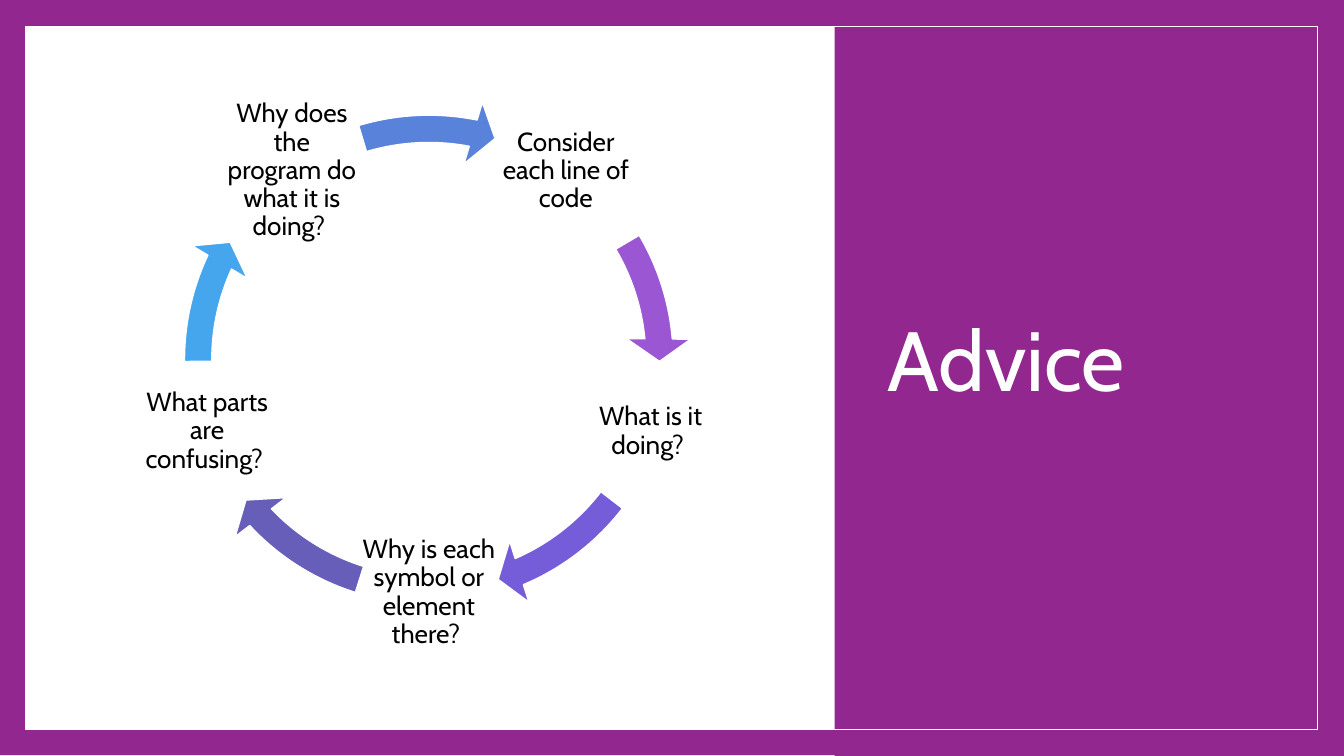
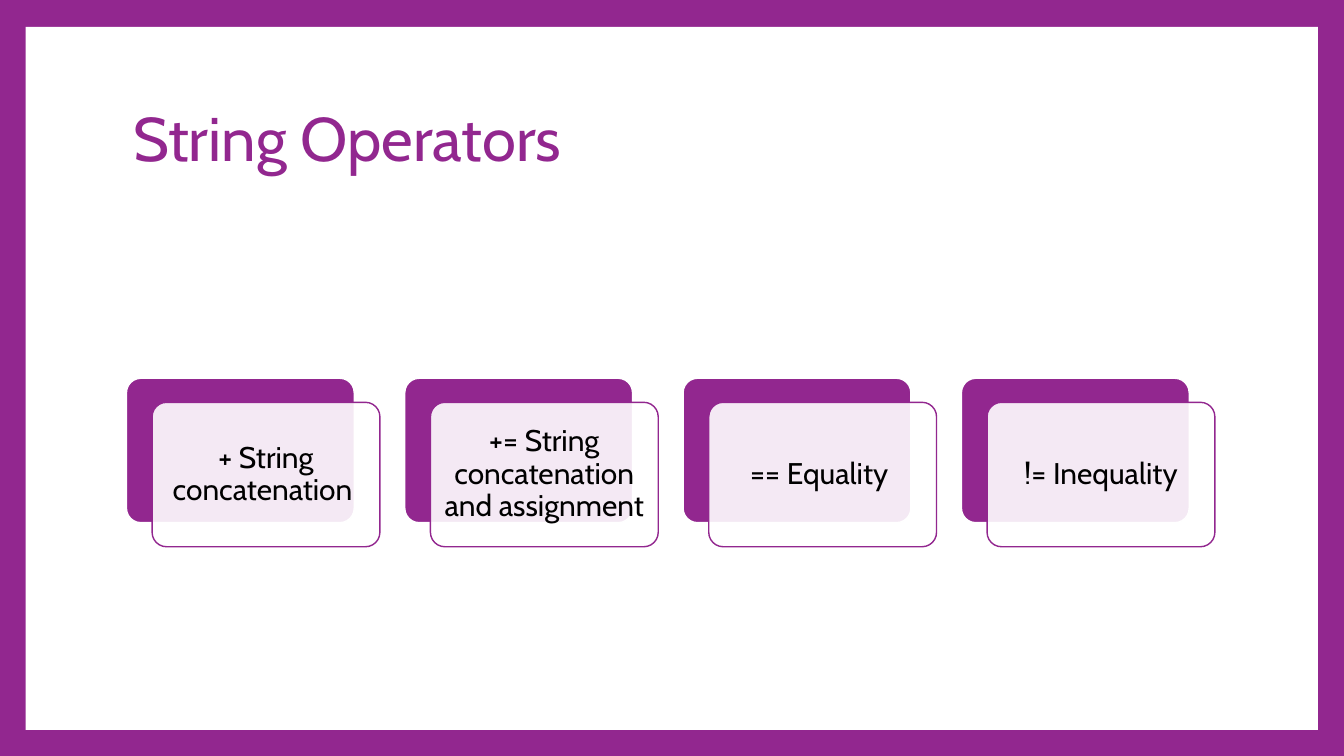
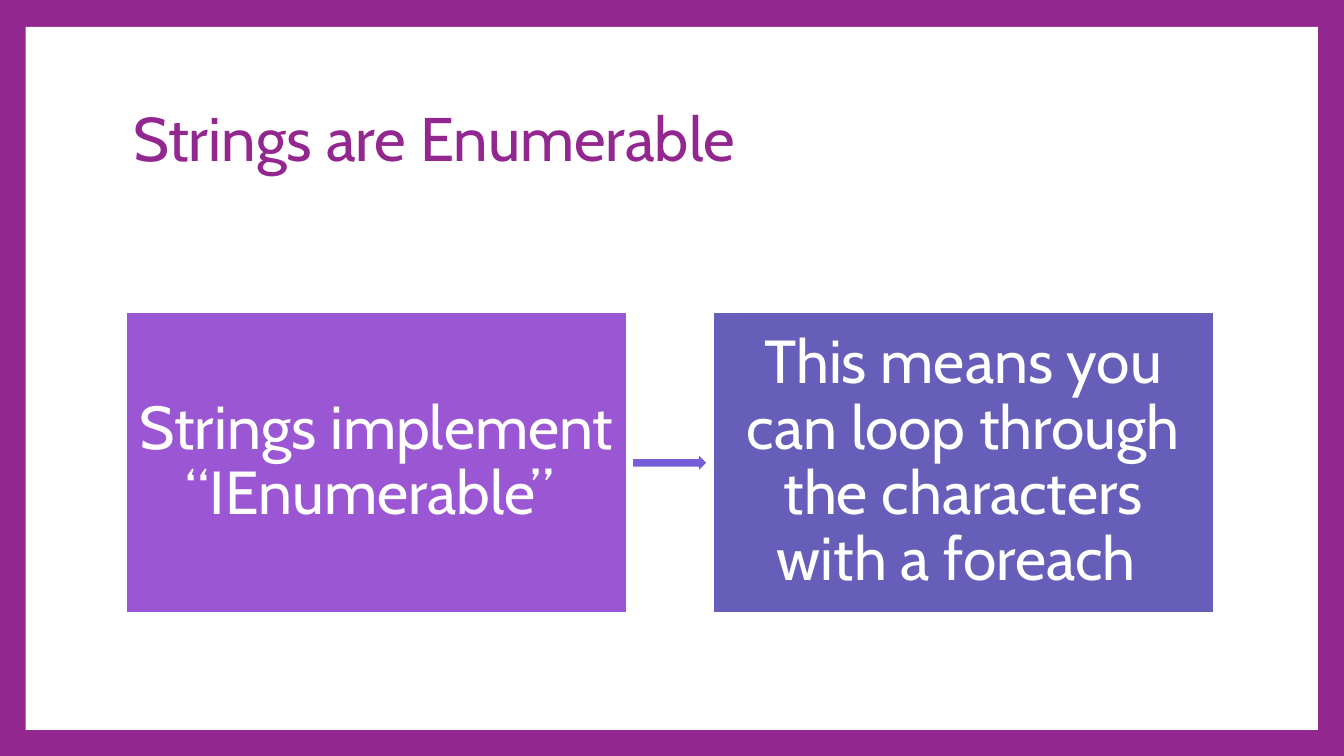
"""Build three lesson slides: an advice cycle, string operators and enumerable strings."""
import dataclasses
import math
import typing

import pptx
import pptx.dml.color
import pptx.enum.shapes
import pptx.enum.text
import pptx.oxml.ns
import pptx.oxml.xmlchemy
import pptx.shapes.autoshape
import pptx.slide
import pptx.util
from lxml import etree

Cm = pptx.util.Cm
Pt = pptx.util.Pt
Kind = pptx.enum.shapes.MSO_SHAPE
Align = pptx.enum.text.PP_ALIGN

PURPLE = "92278F"
WHITE = "FFFFFF"
BLACK = "000000"
ORCHID = "9B57D3"
VIOLET = "755DD9"
INDIGO = "665EB8"
SKY = "45A5ED"
BLUE = "5982DB"
FONT = "Cabin"
SLIDE_WIDTH, SLIDE_HEIGHT = 50.8, 28.58
DEGREE = 0.6


class Area(typing.NamedTuple):
    """A rectangle in centimetres."""

    left: float
    top: float
    width: float
    height: float

    def lengths(self) -> list[pptx.util.Length]:
        """Give the four values as slide lengths."""
        return [Cm(value) for value in self]


@dataclasses.dataclass(frozen=True)
class Look:
    """Fill, outline and geometry settings of a shape."""

    fill: str | None = None
    line: str | None = None
    line_width: float = 1.5
    opacity: int = 100
    adjustments: tuple[float, ...] = ()


@dataclasses.dataclass(frozen=True)
class Lettering:
    """Text settings of a shape; the margin is in centimetres."""

    size: float
    color: str
    margin: float = 0.25
    align: Align = Align.CENTER


@dataclasses.dataclass(frozen=True)
class Step:
    """A step of the cycle and the arrow after it, with angles in degrees."""

    text: str
    color: str
    arrow_end: float
    arrow_start: float


PAGE = Area(0.97, 1.02, 48.84, 26.57)
HEADING = Area(4.78, 2.54, 41.15, 5.66)
HEADING_LETTERING = Lettering(66, PURPLE, align=Align.LEFT)

STEPS = (
    Step("Consider each line of code", ORCHID, 354.89, 329.44),
    Step("What is it doing? ", VIOLET, 66.91, 37.56),
    Step("Why is each symbol or element there? ", INDIGO, 136.84, 107.49),
    Step("What parts are confusing? ", SKY, 204.96, 179.52),
    Step("Why does the program do what it is doing? ", BLUE, 281.09, 253.31),
)
OPERATORS = (
    "+ String concatenation ",
    "+= String concatenation and assignment",
    "== Equality ",
    "!= Inequality",
)


def rgb(color: str) -> pptx.dml.color.RGBColor:
    """Turn a hex string into a colour."""
    return pptx.dml.color.RGBColor.from_string(color)


def assign(target: object, values: dict[str, object]) -> None:
    """Set every named attribute of the target."""
    for name, value in values.items():
        setattr(target, name, value)


def write(box: pptx.shapes.autoshape.Shape, text: str, lettering: Lettering) -> None:
    """Put one formatted paragraph in a box."""
    frame = box.text_frame
    margins = {f"margin_{side}": Cm(lettering.margin) for side in ("left", "top", "right", "bottom")}
    assign(frame, {
        "word_wrap": True,
        "auto_size": pptx.enum.text.MSO_AUTO_SIZE.NONE,
        "vertical_anchor": pptx.enum.text.MSO_ANCHOR.MIDDLE,
        **margins,
    })
    para = frame.paragraphs[0]
    assign(para, {"alignment": lettering.align, "line_spacing": 0.9})
    span = para.add_run()
    span.text = text
    assign(span.font, {"name": FONT, "size": Pt(lettering.size)})
    span.font.color.rgb = rgb(lettering.color)


def draw(page: pptx.slide.Slide, kind: Kind, area: Area, look: Look) -> pptx.shapes.autoshape.Shape:
    """Add a preset shape with the given look."""
    shape = page.shapes.add_shape(kind, *area.lengths())
    shape.shadow.inherit = False
    for index, value in enumerate(look.adjustments):
        shape.adjustments[index] = value
    if look.fill:
        shape.fill.solid()
        shape.fill.fore_color.rgb = rgb(look.fill)
    else:
        shape.fill.background()
    if look.opacity < 100:
        tint = shape.element.find(".//" + pptx.oxml.ns.qn("a:srgbClr"))
        etree.SubElement(tint, pptx.oxml.ns.qn("a:alpha"), val=str(look.opacity * 1000))
    if look.line:
        shape.line.color.rgb = rgb(look.line)
        shape.line.width = Pt(look.line_width)
    else:
        shape.line.fill.background()
    return shape


def add_page(deck: pptx.presentation.Presentation, background: str) -> pptx.slide.Slide:
    """Add a title-only slide with a plain background."""
    page = deck.slides.add_slide(deck.slide_layouts[5])
    page.background.fill.solid()
    page.background.fill.fore_color.rgb = rgb(background)
    return page


def set_title(page: pptx.slide.Slide, text: str, area: Area, lettering: Lettering) -> None:
    """Place and format the title above the shapes drawn so far."""
    title = page.shapes.title
    assign(title, dict(zip(("left", "top", "width", "height"), area.lengths())))
    write(title, text, lettering)
    page.shapes.element.append(title.element)


def add_framed_page(deck: pptx.presentation.Presentation, heading: str) -> pptx.slide.Slide:
    """Add a white page in a purple frame, with a heading."""
    page = add_page(deck, PURPLE)
    draw(page, Kind.RECTANGLE, PAGE, Look(WHITE))
    set_title(page, heading, HEADING, HEADING_LETTERING)
    return page


def build_advice(deck: pptx.presentation.Presentation) -> None:
    """Build the cycle of questions beside the title panel."""
    page = add_page(deck, WHITE)
    draw(page, Kind.RECTANGLE, Area(0, -0.03, SLIDE_WIDTH, SLIDE_HEIGHT), Look(PURPLE))
    draw(page, Kind.RECTANGLE, PAGE, Look(WHITE))
    draw(page, Kind.RECTANGLE, Area(31.55, 0, 19.25, SLIDE_HEIGHT), Look(PURPLE))
    set_title(page, "Advice", Area(33.3, 2.54, 14.88, 22.5), Lettering(90, WHITE, align=Align.LEFT))
    draw(page, Kind.RECTANGLE, PAGE, Look(line=WHITE, line_width=1))

    center_x, center_y, radius = 16.21, 13.59, 8.81
    node, ring = 5.31, 19.86
    ring_area = Area(center_x - ring / 2, center_y - ring / 2, ring, ring)
    for index, step in enumerate(STEPS):
        angle = math.radians(index * 360 / len(STEPS) - 54)
        left = center_x + radius * math.cos(angle) - node / 2
        top = center_y + radius * math.sin(angle) - node / 2
        box = page.shapes.add_textbox(*Area(left, top, node, node).lengths())
        write(box, step.text, Lettering(28, BLACK, margin=0.1))
        bend = (5.2 / 100, 5.6 * DEGREE, step.arrow_end * DEGREE, step.arrow_start * DEGREE, 6.1 / 100)
        draw(page, Kind.CIRCULAR_ARROW, ring_area, Look(step.color, WHITE, adjustments=bend))


def build_operators(deck: pptx.presentation.Presentation) -> None:
    """Build the row of layered operator cards."""
    page = add_framed_page(deck, "String Operators")
    back = Look(PURPLE, WHITE, adjustments=(0.1,))
    front = Look(WHITE, PURPLE, opacity=90, adjustments=(0.1,))
    for index, operator in enumerate(OPERATORS):
        area = Area(4.78 + index * 10.52, 14.3, 8.61, 5.46)
        draw(page, Kind.ROUNDED_RECTANGLE, area, back)
        raised = area._replace(left=area.left + 0.97, top=area.top + 0.91)
        card = draw(page, Kind.ROUNDED_RECTANGLE, raised, front)
        write(card, operator, Lettering(32, BLACK, margin=0.33))


def build_enumerable(deck: pptx.presentation.Presentation) -> None:
    """Build the two statements joined by an arrow."""
    page = add_framed_page(deck, "Strings are Enumerable")
    statements = (
        (4.78, ORCHID, "Strings implement “IEnumerable” "),
        (26.95, INDIGO, "This means you can loop through the characters with a foreach "),
    )
    for left, color, text in statements:
        box = draw(page, Kind.RECTANGLE, Area(left, 11.81, 18.92, 11.35), Look(color, WHITE))
        write(box, text, Lettering(65, WHITE, margin=0.43))
    draw(page, Kind.RIGHT_ARROW, Area(23.9, 17.15, 2.84, 0.69), Look(VIOLET, WHITE))


def main() -> None:
    """Build the deck and save it."""
    deck = pptx.Presentation()
    assign(deck, {"slide_width": Cm(SLIDE_WIDTH), "slide_height": Cm(SLIDE_HEIGHT)})
    build_advice(deck)
    build_operators(deck)
    build_enumerable(deck)
    deck.save("out.pptx")


if __name__ == "__main__":
    main()
